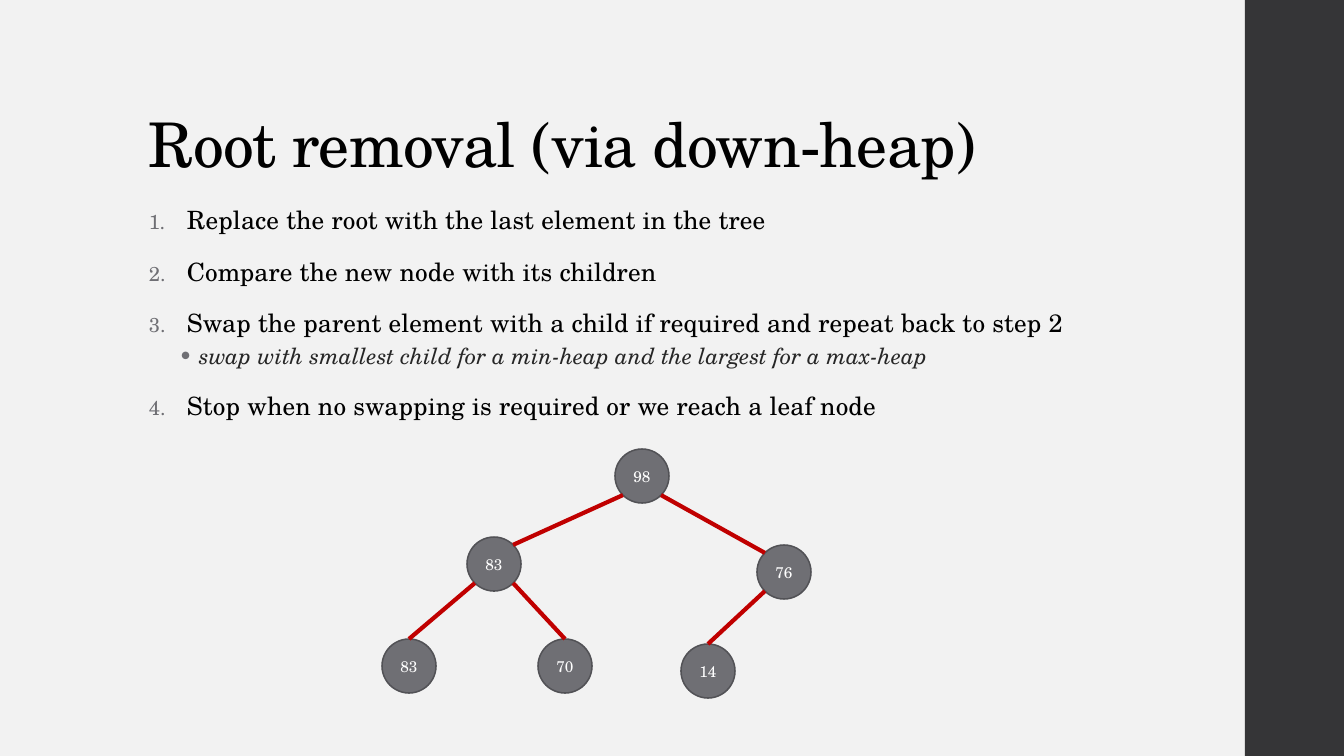
from collections import namedtuple
from math import sqrt

from lxml.etree import SubElement
from pptx import Presentation
from pptx.dml.color import RGBColor
from pptx.enum.shapes import MSO_CONNECTOR, MSO_SHAPE
from pptx.enum.text import MSO_ANCHOR, PP_ALIGN
from pptx.oxml.ns import qn
from pptx.util import Pt

PIXEL = 914400 / 100.8
FONT = "TeX Gyre Schola"
PAPER = RGBColor(0xF2, 0xF2, 0xF2)
BAND = RGBColor(0x35, 0x35, 0x37)
BLACK = RGBColor(0, 0, 0)
CHARCOAL = RGBColor(0x26, 0x26, 0x26)
GREY = RGBColor(0x6F, 0x6F, 0x74)
OUTLINE = RGBColor(0x52, 0x52, 0x56)
RED = RGBColor(0xC0, 0, 0)
WHITE = RGBColor(0xFF, 0xFF, 0xFF)

Box = namedtuple("Box", "left top width height")
Node = namedtuple("Node", "key left top parent")

DIAMETER = 54
STEPS = [
    ("Replace the root with the last element in the tree", False),
    ("Compare the new node with its children", False),
    ("Swap the parent element with a child if required and repeat back to step 2", False),
    ("swap with smallest child for a min-heap and the largest for a max-heap", True),
    ("Stop when no swapping is required or we reach a leaf node", False),
]
HEAP = [
    Node("98", 233, 0, None),
    Node("83", 85, 88, 0),
    Node("76", 375, 96, 0),
    Node("83", 0, 190, 1),
    Node("70", 156, 190, 1),
    Node("14", 299, 195, 2),
]


def emu(*pixels):
    return [round(value * PIXEL) for value in pixels]


def write(paragraph, text, size, color, italic=False, tracking=0, spacing=1.0,
          before=0, after=0, align=PP_ALIGN.LEFT):
    paragraph.alignment = align
    paragraph.line_spacing = spacing
    paragraph.space_before = Pt(before)
    paragraph.space_after = Pt(after)
    run = paragraph.add_run()
    run.text = text
    run.font.name = FONT
    run.font.size = Pt(size)
    run.font.italic = italic
    run.font.color.rgb = color
    run.font._element.set("spc", str(round(tracking * 100)))


def add_bullet(paragraph, indent, hanging, kind, value, percent):
    properties = paragraph._p.get_or_add_pPr()
    margin, outdent = emu(indent, -hanging)
    properties.set("marL", str(margin))
    properties.set("indent", str(outdent))
    color = SubElement(properties, qn("a:buClr"))
    SubElement(color, qn("a:srgbClr"), val=str(GREY))
    SubElement(properties, qn("a:buSzPct"), val=str(percent * 1000))
    SubElement(properties, qn("a:buFont"), typeface=FONT)
    SubElement(properties, qn(kind), value)


def add_text_frame(slide, box):
    frame = slide.shapes.add_textbox(*emu(*box)).text_frame
    frame.word_wrap = True
    return frame


def add_filled(slide, preset, box, fill):
    shape = slide.shapes.add_shape(preset, *emu(*box))
    shape.shadow.inherit = False
    shape.fill.solid()
    shape.fill.fore_color.rgb = fill
    return shape


def add_side_band(slide, box):
    add_filled(slide, MSO_SHAPE.RECTANGLE, box, BAND).line.fill.background()


def add_heading(slide, box):
    frame = add_text_frame(slide, box)
    frame.vertical_anchor = MSO_ANCHOR.BOTTOM
    write(frame.paragraphs[0], "Root removal (via down-heap)", 44, BLACK,
          tracking=-0.5, spacing=0.9)


def add_steps(slide, box):
    frame = add_text_frame(slide, box)
    for index, (step, is_detail) in enumerate(STEPS):
        paragraph = frame.add_paragraph() if index else frame.paragraphs[0]
        if is_detail:
            paragraph.level = 1
            write(paragraph, step, 16, CHARCOAL, italic=True, spacing=0.9, before=3, after=3)
            add_bullet(paragraph, 50, 20, "a:buChar", {"char": "•"}, 100)
        else:
            write(paragraph, step, 18, BLACK, tracking=0.1, spacing=0.95, before=14, after=2)
            add_bullet(paragraph, 38, 38, "a:buAutoNum", {"type": "arabicPeriod"}, 80)


def add_node(slide, node, box):
    place = Box(box.left + node.left, box.top + node.top, DIAMETER, DIAMETER)
    circle = add_filled(slide, MSO_SHAPE.OVAL, place, GREY)
    circle.line.color.rgb = OUTLINE
    circle.line.width = Pt(1.1)
    frame = circle.text_frame
    frame.vertical_anchor = MSO_ANCHOR.MIDDLE
    frame.margin_left = frame.margin_right = frame.margin_top = frame.margin_bottom = 0
    write(frame.paragraphs[0], node.key, 11, WHITE, align=PP_ALIGN.CENTER)


def add_edge(slide, parent, child, box):
    radius = DIAMETER / 2
    reach = radius / sqrt(2)
    side = 1 if child.left > parent.left else -1
    is_inner = parent.parent is None
    start_x = box.left + parent.left + radius + side * reach
    start_y = box.top + parent.top + radius + reach
    end_x = box.left + child.left + radius - (side * reach if is_inner else 0)
    end_y = box.top + child.top + radius - (reach if is_inner else radius)
    edge = slide.shapes.add_connector(MSO_CONNECTOR.STRAIGHT,
                                      *emu(start_x, start_y, end_x, end_y))
    edge.line.color.rgb = RED
    edge.line.width = Pt(3)
    SubElement(edge._element.spPr, qn("a:effectLst"))


def add_heap(slide, box):
    for node in HEAP:
        add_node(slide, node, box)
    for node in HEAP[1:]:
        add_edge(slide, HEAP[node.parent], node, box)


deck = Presentation()
deck.slide_width, deck.slide_height = emu(1344, 756)
slide = deck.slides.add_slide(deck.slide_layouts[6])
slide.background.fill.solid()
slide.background.fill.fore_color.rgb = PAPER
add_side_band(slide, Box(1245, 0, 99, 756))
add_heading(slide, Box(139, 40, 1068, 146))
add_steps(slide, Box(139, 202, 948, 247))
add_heap(slide, Box(382, 449, 429, 249))
deck.save("out.pptx")
